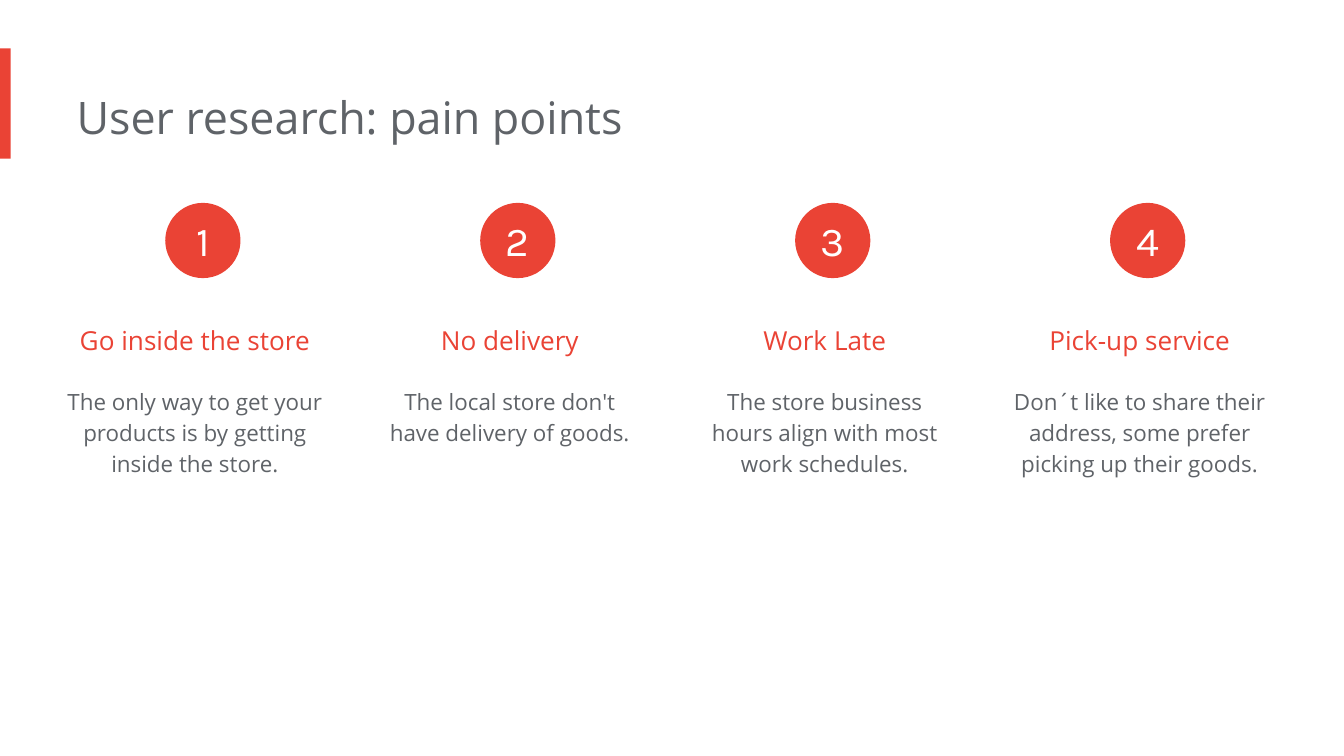
import pptx
import pptx.util
import pptx.dml.color
import pptx.enum.shapes
import pptx.enum.text

Inches = pptx.util.Inches
Pt = pptx.util.Pt
RGBColor = pptx.dml.color.RGBColor
Shape = pptx.enum.shapes.MSO_SHAPE
Align = pptx.enum.text.PP_ALIGN
Anchor = pptx.enum.text.MSO_ANCHOR
Fit = pptx.enum.text.MSO_AUTO_SIZE

RED = RGBColor(0xEA, 0x43, 0x35)
GREY = RGBColor(0x5F, 0x63, 0x68)
WHITE = RGBColor(0xFF, 0xFF, 0xFF)

POINTS = [
    ("Go inside the store", "The only way to get your products is by getting inside the store.", 3),
    ("No delivery", "The local store don't have delivery of goods.", 2),
    ("Work Late", "The store business hours align with most work schedules.", 3),
    ("Pick-up service", "Don´t like to share their address, some prefer picking up their goods.", 3),
]


def write(frame, text, size, color, font="Open Sans", align=Align.CENTER, space=None):
    para = frame.paragraphs[0]
    para.text = text
    para.alignment = align
    para.line_spacing = space
    para.font.name = font
    para.font.size = Pt(size)
    para.font.color.rgb = color


def add_text(slide, left, top, width, height, text, size, color, **style):
    box = slide.shapes.add_textbox(Inches(left), Inches(top), Inches(width), Inches(height))
    frame = box.text_frame
    frame.word_wrap = True
    frame.auto_size = Fit.SHAPE_TO_FIT_TEXT
    frame.margin_left = 0
    frame.margin_top = frame.margin_right = frame.margin_bottom = Inches(0.1)
    write(frame, text, size, color, **style)


def add_solid(slide, kind, left, top, width, height):
    shape = slide.shapes.add_shape(kind, Inches(left), Inches(top), Inches(width), Inches(height))
    shape.shadow.inherit = False
    shape.fill.solid()
    shape.fill.fore_color.rgb = RED
    shape.line.fill.background()
    return shape


def add_header(slide, left, top):
    add_solid(slide, Shape.RECTANGLE, left, top, 0.08, 0.82)
    add_text(slide, left + 0.57, top + 0.21, 6.73, 0.61,
             "User research: pain points", 24, GREY, align=Align.LEFT)


def add_point(slide, left, top, width, number, name, detail, lines):
    badge = add_solid(slide, Shape.OVAL, left + 0.75, top, 0.56, 0.56)
    frame = badge.text_frame
    frame.margin_left = frame.margin_top = frame.margin_right = frame.margin_bottom = 0
    frame.vertical_anchor = Anchor.MIDDLE
    write(frame, str(number), 22, WHITE, font="Karla")
    add_text(slide, left, top + 0.69, width, 0.56, name, 14, RED, space=1.5)
    add_text(slide, left, top + 1.25, width, 0.21 + 0.23 * lines, detail, 12, GREY, space=1.15)


def add_points(slide, left, top, width):
    column = 2.04
    step = (width - column) / (len(POINTS) - 1)
    for index, point in enumerate(POINTS):
        add_point(slide, left + index * step, top, column, index + 1, *point)


def main():
    deck = pptx.Presentation()
    deck.slide_width = Inches(10)
    deck.slide_height = Inches(10 * 9 / 16)
    slide = deck.slides.add_slide(deck.slide_layouts[6])
    add_header(slide, 0, 0.36)
    add_points(slide, 0.48, 1.51, 9.07)
    deck.save("out.pptx")


if __name__ == "__main__":
    main()
